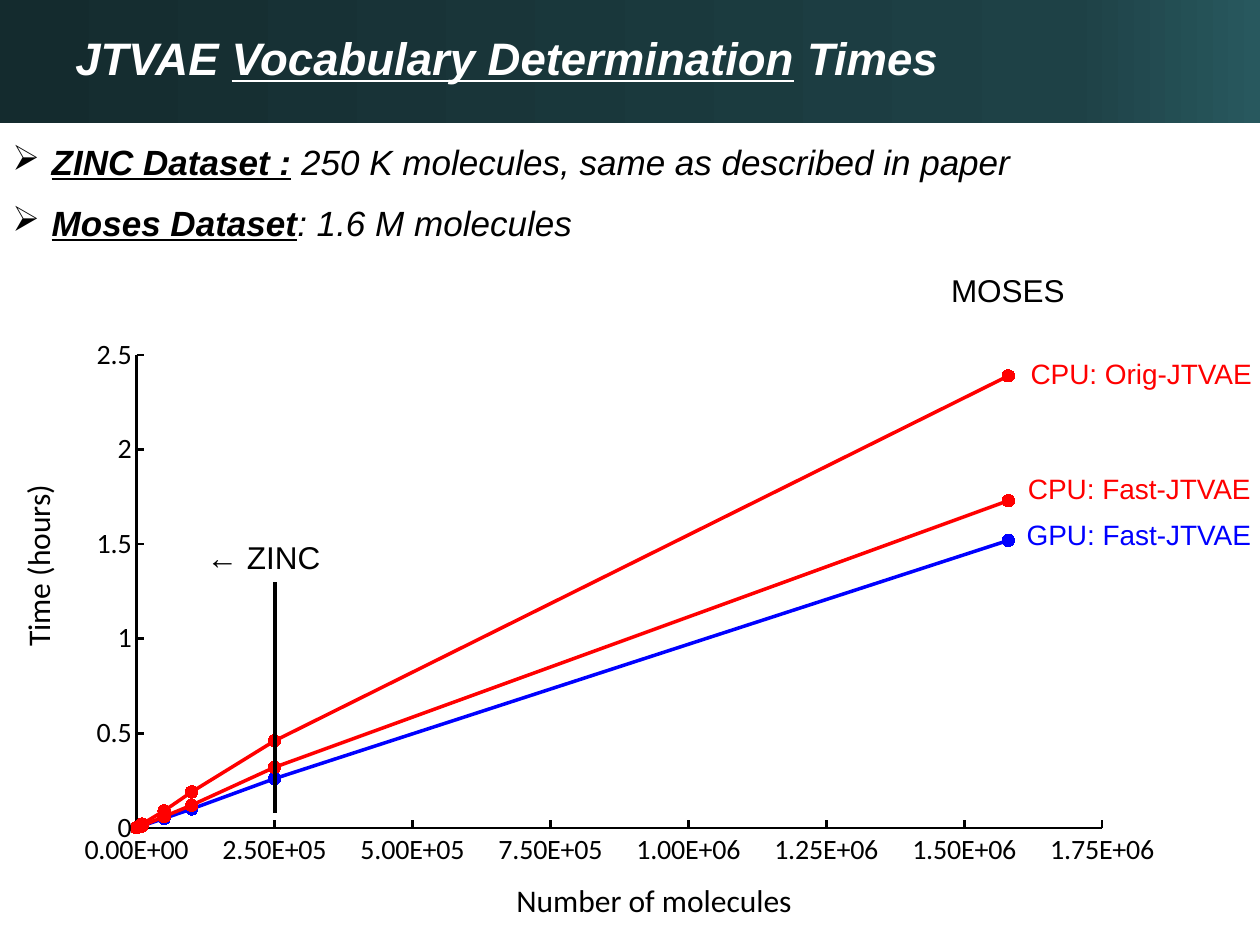
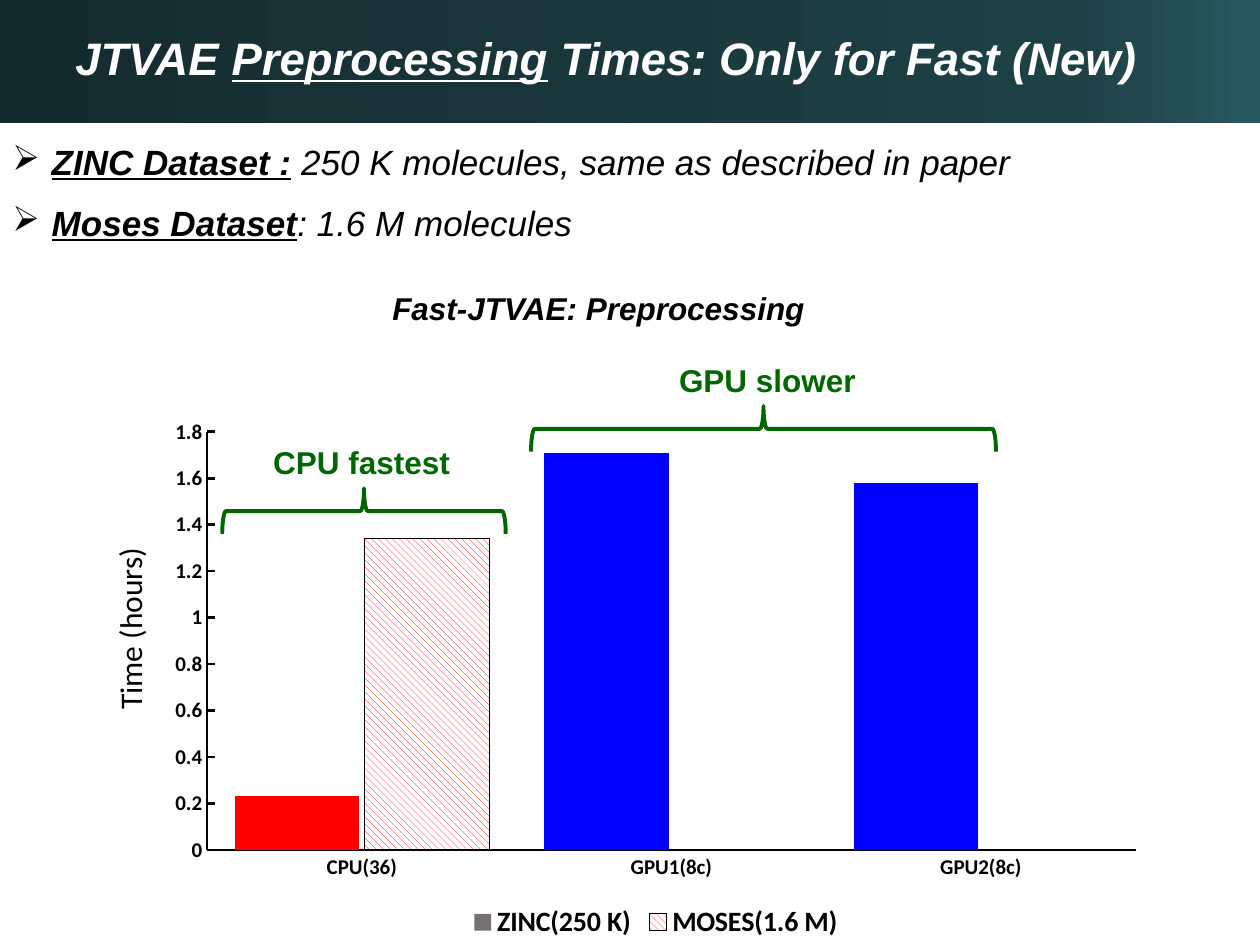
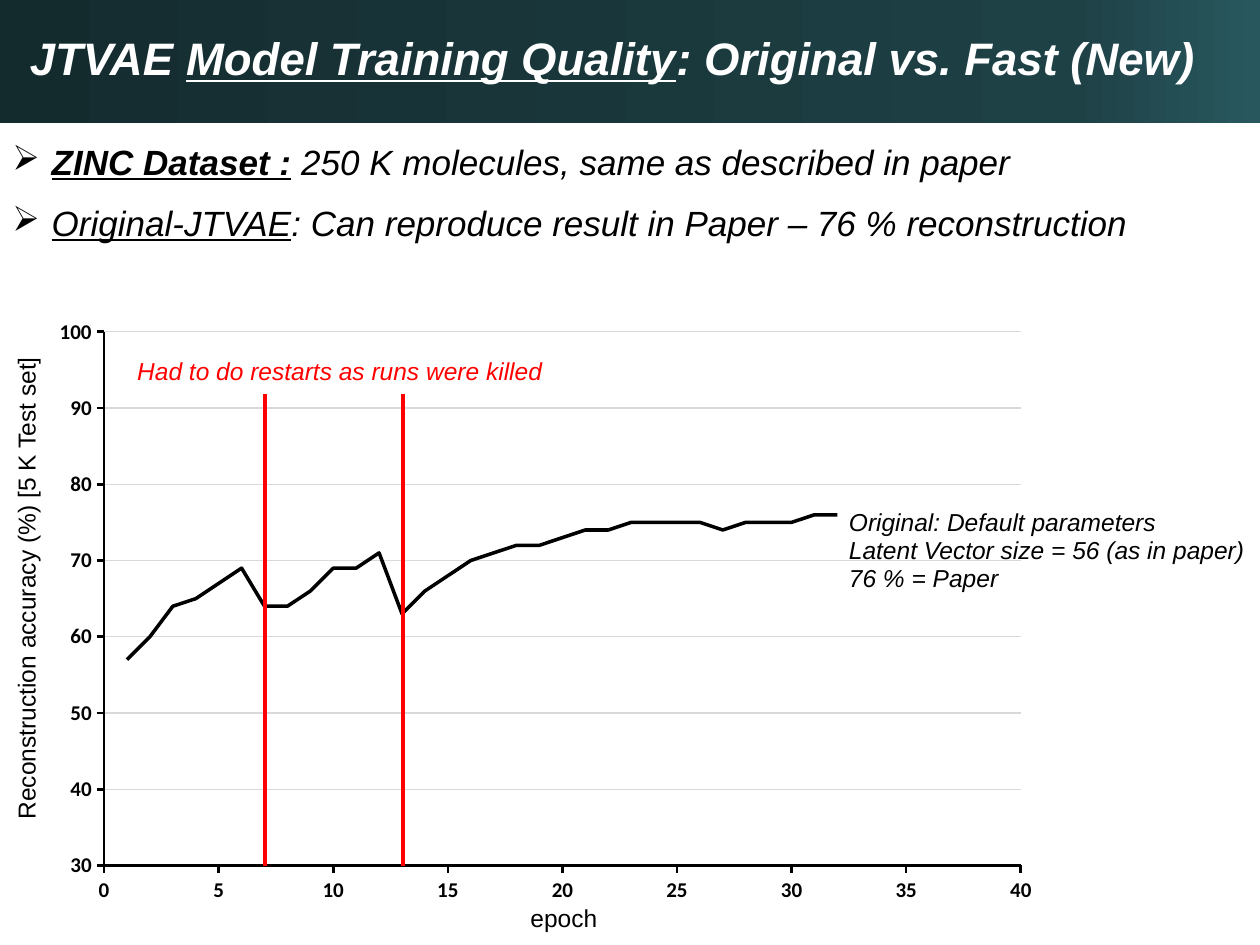
from copy import deepcopy

from pptx import Presentation
from pptx.chart.data import CategoryChartData, XyChartData
from pptx.dml.color import RGBColor
from pptx.enum.chart import XL_CHART_TYPE, XL_LEGEND_POSITION, XL_MARKER_STYLE, XL_TICK_MARK
from pptx.enum.dml import MSO_PATTERN
from pptx.enum.shapes import MSO_CONNECTOR, MSO_SHAPE
from pptx.enum.text import MSO_ANCHOR, MSO_AUTO_SIZE, PP_ALIGN
from pptx.oxml import parse_xml
from pptx.oxml.ns import nsdecls, qn
from pptx.util import Pt

COLORS = {
    "black": "000000", "white": "FFFFFF", "red": "FF0000", "blue": "0000FF",
    "green": "006600", "gray": "767171", "grid": "D9D9D9",
    "band_dark": "142B2E", "band_mid": "1E4146", "band_light": "28585E",
}
BAND = (0, 0, 720, 70.5)
BULLETS = (0, 78.5, 720, 50.4)
BODY = (0, 150, 720, 390)
ZINC = [("ZINC Dataset :", "biu"), (" ", "bi"), ("250 K molecules, same as described in paper", "i")]
MOSES = [("Moses Dataset", "biu"), (": 1.6 M molecules", "i")]
REPRODUCED = [("Original-JTVAE", "iu"), (": Can reproduce result in Paper – 76 % reconstruction", "i")]


def rgb(name):
    """Return a named colour."""
    return RGBColor.from_string(COLORS[name])


def inside(area, x, y, w, h):
    """Return lengths for a box placed relative to an area."""
    return Pt(area[0] + x), Pt(area[1] + y), Pt(w), Pt(h)


def set_font(font, size, color="black", name="Arial", style=""):
    """Format a font; style holds the letters b, i and u."""
    font.size, font.name = Pt(size), name
    font.color.rgb = rgb(color)
    font.bold, font.italic, font.underline = ("b" in style), ("i" in style), ("u" in style)


def add_text(slide, box, paragraphs, size=18, color="black", name="Arial", style="", align=None,
             anchor=MSO_ANCHOR.TOP, wrap=False, rotation=0, spacing=None, before=0, bullet=None):
    """Add a text box from plain strings or lists of (text, style) runs."""
    sp = slide.shapes.add_textbox(*box)
    sp.rotation = rotation
    tf = sp.text_frame
    tf.word_wrap, tf.vertical_anchor = wrap, anchor
    tf.auto_size = MSO_AUTO_SIZE.NONE if wrap else MSO_AUTO_SIZE.SHAPE_TO_FIT_TEXT
    for i, runs in enumerate(paragraphs):
        p = tf.add_paragraph() if i else tf.paragraphs[0]
        p.alignment, p.line_spacing = align, spacing
        if i:
            p.space_before = Pt(before)
        if bullet:
            pPr = p._p.get_or_add_pPr()
            pPr.set("marL", str(Pt(22.5)))
            pPr.set("indent", str(-Pt(22.5)))
            pPr.append(parse_xml(f'<a:buChar {nsdecls("a")} char="{bullet}"/>'))
        for text, run_style in [(runs, style)] if isinstance(runs, str) else runs:
            r = p.add_run()
            r.text = text
            set_font(r.font, size, color, name, run_style)


def add_line(slide, area, x, top, bottom, color):
    """Add a vertical marker line."""
    x, y = Pt(area[0] + x), area[1]
    cxn = slide.shapes.add_connector(MSO_CONNECTOR.STRAIGHT, x, Pt(y + top), x, Pt(y + bottom))
    cxn.line.color.rgb, cxn.line.width = rgb(color), Pt(2.25)
    cxn._element.spPr.append(parse_xml(f'<a:effectLst {nsdecls("a")}/>'))


def add_brace(slide, area, cx, cy, span):
    """Add a green brace that opens downwards, centred on a point."""
    box = inside(area, cx - 13, cy - span / 2, 26, span)
    sp = slide.shapes.add_shape(MSO_SHAPE.RIGHT_BRACE, *box)
    sp.rotation = 270
    sp.shadow.inherit = False
    sp.fill.background()
    sp.line.color.rgb, sp.line.width = rgb("green"), Pt(2.25)


def add_chart(slide, box, kind, data, plot):
    """Add a chart whose inner plot area has the given fractions x, y, w, h."""
    chart = slide.shapes.add_chart(kind, *box, data).chart
    chart.has_title = chart.has_legend = False
    set_font(chart.font, 10, name="Calibri")
    area = chart._chartSpace.chart.plotArea
    for old in area.findall(qn("c:layout")):
        area.remove(old)
    sizes = "".join(f'<c:{tag} val="{v}"/>' for tag, v in zip("xywh", plot))
    area.insert(0, parse_xml(
        f'<c:layout {nsdecls("c")}><c:manualLayout><c:layoutTarget val="inner"/>'
        f'<c:xMode val="edge"/><c:yMode val="edge"/>{sizes}</c:manualLayout></c:layout>'))
    return chart


def set_axis(axis, size, style="", tick=XL_TICK_MARK.INSIDE, scale=None, fmt="General", grid=False):
    """Format an axis; scale is minimum, maximum and major unit."""
    axis.has_title = axis.has_minor_gridlines = False
    axis.has_major_gridlines = grid
    if grid:
        line = axis.major_gridlines.format.line
        line.color.rgb, line.width = rgb("grid"), Pt(0.75)
    axis.major_tick_mark, axis.minor_tick_mark = tick, XL_TICK_MARK.NONE
    axis.format.line.color.rgb, axis.format.line.width = rgb("black"), Pt(1.5)
    set_font(axis.tick_labels.font, size, name="Calibri", style=style)
    axis.tick_labels.number_format = fmt
    axis.tick_labels.number_format_is_linked = False
    if scale:
        axis.minimum_scale, axis.maximum_scale, axis.major_unit = scale


def scatter_data(xs, rows):
    """Return scatter data with one series for each row of values."""
    data = XyChartData()
    for i, row in enumerate(rows, 1):
        series = data.add_series(f"Series {i}")
        for x, y in zip(xs, row):
            series.add_data_point(x, y)
    return data


def color_lines(chart, colors, marker=False):
    """Colour the lines of a scatter chart and their optional round markers."""
    for series, color in zip(chart.plots[0].series, colors):
        series.smooth = False
        series.format.line.color.rgb, series.format.line.width = rgb(color), Pt(2)
        if marker:
            series.marker.style, series.marker.size = XL_MARKER_STYLE.CIRCLE, 7
            series.marker.format.fill.solid()
            series.marker.format.fill.fore_color.rgb = rgb(color)
            series.marker.format.line.color.rgb = rgb(color)


def title_band(slide, area, before, underlined, after, left=36):
    """Draw the gradient band and its title."""
    sp = slide.shapes.add_shape(MSO_SHAPE.RECTANGLE, *inside(area, 0, 0, *area[2:]))
    sp.shadow.inherit = False
    sp.line.fill.background()
    sp.fill.gradient()
    stops = sp._element.spPr.find(qn("a:gradFill")).find(qn("a:gsLst"))
    stops.append(deepcopy(stops[-1]))
    ramp = [(0, "band_dark"), (0.85, "band_mid"), (1, "band_light")]
    for stop, (position, color) in zip(sp.fill.gradient_stops, ramp):
        stop.position, stop.color.rgb = position, rgb(color)
    sp.fill.gradient_angle = 0
    add_text(slide, inside(area, left, 10, 714 - left, 42.5),
             [[(before, "bi"), (underlined, "biu"), (after, "bi")]],
             size=26, color="white", anchor=MSO_ANCHOR.BOTTOM, wrap=True, spacing=0.9)


def bullet_list(slide, area, items):
    """Draw the bullets below the title band."""
    add_text(slide, inside(area, 0, 0, *area[2:]), items,
             size=20, wrap=True, spacing=0.95, before=12, bullet="➢")


def vocabulary_panel(slide, area):
    """Draw the vocabulary times against the number of molecules."""
    xs = [0, 0, 0, 10000, 50000, 100000, 250000, 1580000]
    rows = [[0, 0, 0, 0.02, 0.09, 0.19, 0.46, 2.39],
            [0, 0, 0, 0.01, 0.06, 0.12, 0.32, 1.73],
            [0, 0, 0, 0.01, 0.05, 0.1, 0.26, 1.52]]
    chart = add_chart(slide, inside(area, 36, 37.2, 636.5, 314.6), XL_CHART_TYPE.XY_SCATTER_LINES,
                      scatter_data(xs, rows), (0.066, 0.05, 0.867, 0.859))
    set_axis(chart.category_axis, 16, scale=(0, 1750000, 250000), fmt="0.00E+00")
    set_axis(chart.value_axis, 16, scale=(0, 2.5, 0.5))
    color_lines(chart, ["red", "red", "blue"], marker=True)
    add_text(slide, inside(area, -32.4, 158.2, 108, 29), ["Time (hours)"], name="Calibri", rotation=270)
    add_text(slide, inside(area, 288, 349.7, 173.5, 29), ["Number of molecules"], name="Calibri")
    add_line(slide, area, 157, 182.6, 314.4, "black")
    add_text(slide, inside(area, 111, 153.8, 80, 29), ["← ZINC"])
    add_text(slide, inside(area, 536.4, 1.2, 80, 29), ["MOSES"])
    labels = [("CPU: Orig-JTVAE", 581.8, 50.2, "red"), ("CPU: Fast-JTVAE", 580.3, 115.7, "red"),
              ("GPU: Fast-JTVAE", 579.6, 142.3, "blue")]
    for label, x, y, color in labels:
        add_text(slide, inside(area, x, y, 148, 26.6), [label], size=16, color=color)


def preprocessing_panel(slide, area):
    """Draw the preprocessing times by processor."""
    data = CategoryChartData()
    data.categories = ["CPU(36)", "GPU1(8c)", "GPU2(8c)"]
    data.add_series("ZINC(250 K)", [0.23, 1.71, 1.58])
    data.add_series("MOSES(1.6 M)", [1.34, None, None])
    chart = add_chart(slide, inside(area, 88.6, 83.3, 572.4, 306.7), XL_CHART_TYPE.COLUMN_CLUSTERED,
                      data, (0.052, 0.044, 0.927, 0.779))
    set_axis(chart.category_axis, 12, "b", XL_TICK_MARK.NONE)
    set_axis(chart.value_axis, 12, "b", scale=(0, 1.8, 0.2))
    chart.has_legend = True
    chart.legend.position, chart.legend.include_in_layout = XL_LEGEND_POSITION.BOTTOM, False
    set_font(chart.legend.font, 16, name="Calibri", style="b")
    plot = chart.plots[0]
    plot.gap_width, plot.overlap, plot.vary_by_categories = 44, -4, False
    zinc, moses = plot.series
    bars = [zinc.format.fill] + [zinc.points[i].format.fill for i in range(3)]
    for fill, color in zip(bars, ["gray", "red", "blue", "blue"]):
        fill.solid()
        fill.fore_color.rgb = rgb(color)
    fill = moses.format.fill
    fill.patterned()
    fill.pattern = MSO_PATTERN.WIDE_DOWNWARD_DIAGONAL
    fill.fore_color.rgb, fill.back_color.rgb = rgb("red"), rgb("white")
    moses.format.line.color.rgb, moses.format.line.width = rgb("black"), Pt(0.75)
    add_text(slide, inside(area, 36.7 - 16.5, 194.2, 108, 29), ["Time (hours)"], name="Calibri", rotation=270)
    add_text(slide, inside(area, 212.5, 13.4, 259, 28), ["Fast-JTVAE: Preprocessing"],
             style="bi", align=PP_ALIGN.CENTER, spacing=0.95)
    for label, x, y, cx, cy, span in [("CPU fastest", 148.3, 101.3, 208, 142, 162),
                                      ("GPU slower", 380.2, 54.5, 436.3, 95, 265.7)]:
        add_text(slide, inside(area, x, y, 116.6, 28), [label], color="green",
                 style="b", align=PP_ALIGN.CENTER, spacing=0.95)
        add_brace(slide, area, cx, cy, span)


def quality_panel(slide, area):
    """Draw the reconstruction accuracy by epoch."""
    accuracy = [57, 60, 64, 65, 67, 69, 64, 64, 66, 69, 69, 71, 63, 66, 68, 70,
                71, 72, 72, 73, 74, 74, 75, 75, 75, 75, 74, 75, 75, 75, 76, 76]
    chart = add_chart(slide, inside(area, 23, 25.7, 578.9, 347.8),
                      XL_CHART_TYPE.XY_SCATTER_LINES_NO_MARKERS,
                      scatter_data(range(1, 33), [accuracy]), (0.063, 0.04, 0.905, 0.877))
    set_axis(chart.category_axis, 12, "b", XL_TICK_MARK.OUTSIDE, (0, 40, 5))
    set_axis(chart.value_axis, 12, "b", XL_TICK_MARK.OUTSIDE, (30, 100, 10), grid=True)
    color_lines(chart, ["black"])
    centred = dict(size=14, align=PP_ALIGN.CENTER, spacing=0.95)
    add_text(slide, inside(area, 296, 363.4, 52.5, 23), ["epoch"], **centred)
    add_text(slide, inside(area, -145.4, 174.7, 321.8, 23),
             ["Reconstruction accuracy (%) [5 K Test set]"], rotation=270, **centred)
    for x in (151.2, 230.4):
        add_line(slide, area, x, 75.4, 344.6, "red")
    add_text(slide, inside(area, 71.3, 50.9, 251.3, 23), ["Had to do restarts as runs were killed"],
             size=14, color="red", style="i", spacing=0.95)
    add_text(slide, inside(area, 478, 137.3, 242, 55.4),
             ["Original: Default parameters", "Latent Vector size = 56 (as in paper)", "76 % = Paper"],
             size=14, style="i", spacing=0.95)


def main():
    """Build the three slides and save them."""
    prs = Presentation()
    prs.slide_width, prs.slide_height = Pt(720), Pt(540)
    slides = [
        (vocabulary_panel, ("JTVAE ", "Vocabulary Determination", " Times"), [ZINC, MOSES]),
        (preprocessing_panel, ("JTVAE ", "Preprocessing", " Times: Only for Fast (New)"), [ZINC, MOSES]),
        (quality_panel, ("JTVAE ", "Model Training Quality", ": Original vs. Fast (New)", 10),
         [ZINC, REPRODUCED]),
    ]
    for panel, title, items in slides:
        slide = prs.slides.add_slide(prs.slide_layouts[6])
        panel(slide, BODY)
        title_band(slide, BAND, *title)
        bullet_list(slide, BULLETS, items)
    prs.save("out.pptx")


if __name__ == "__main__":
    main()
